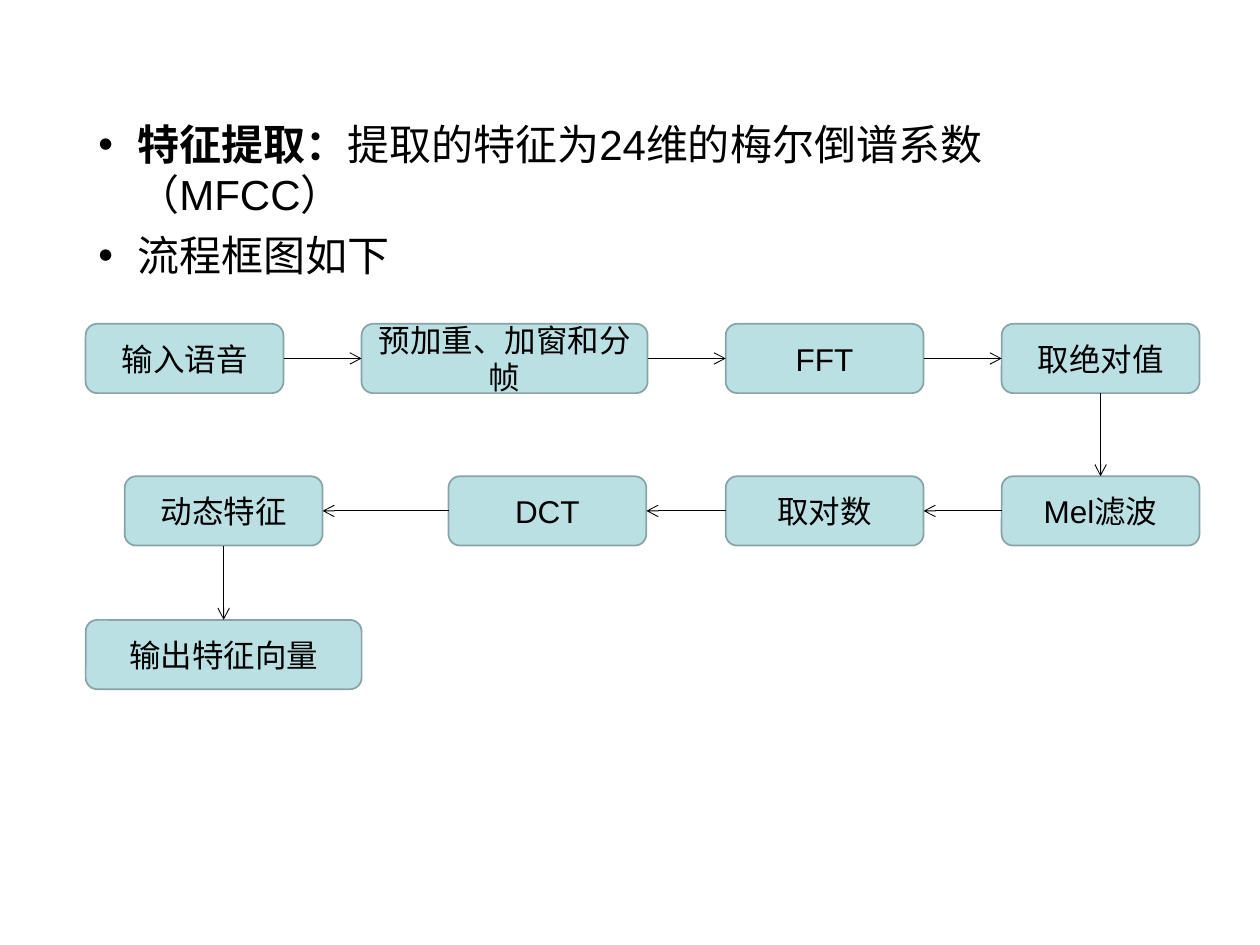
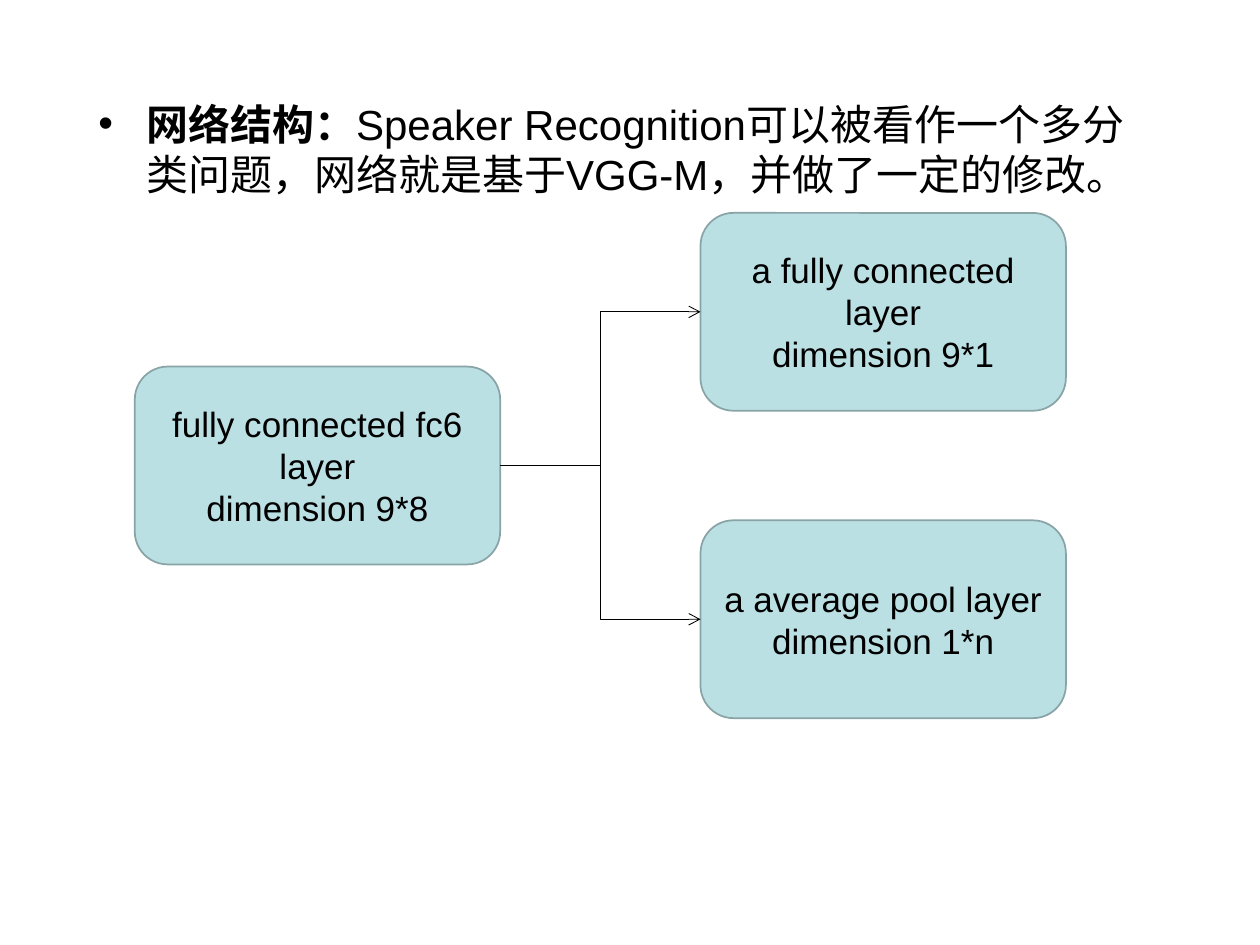
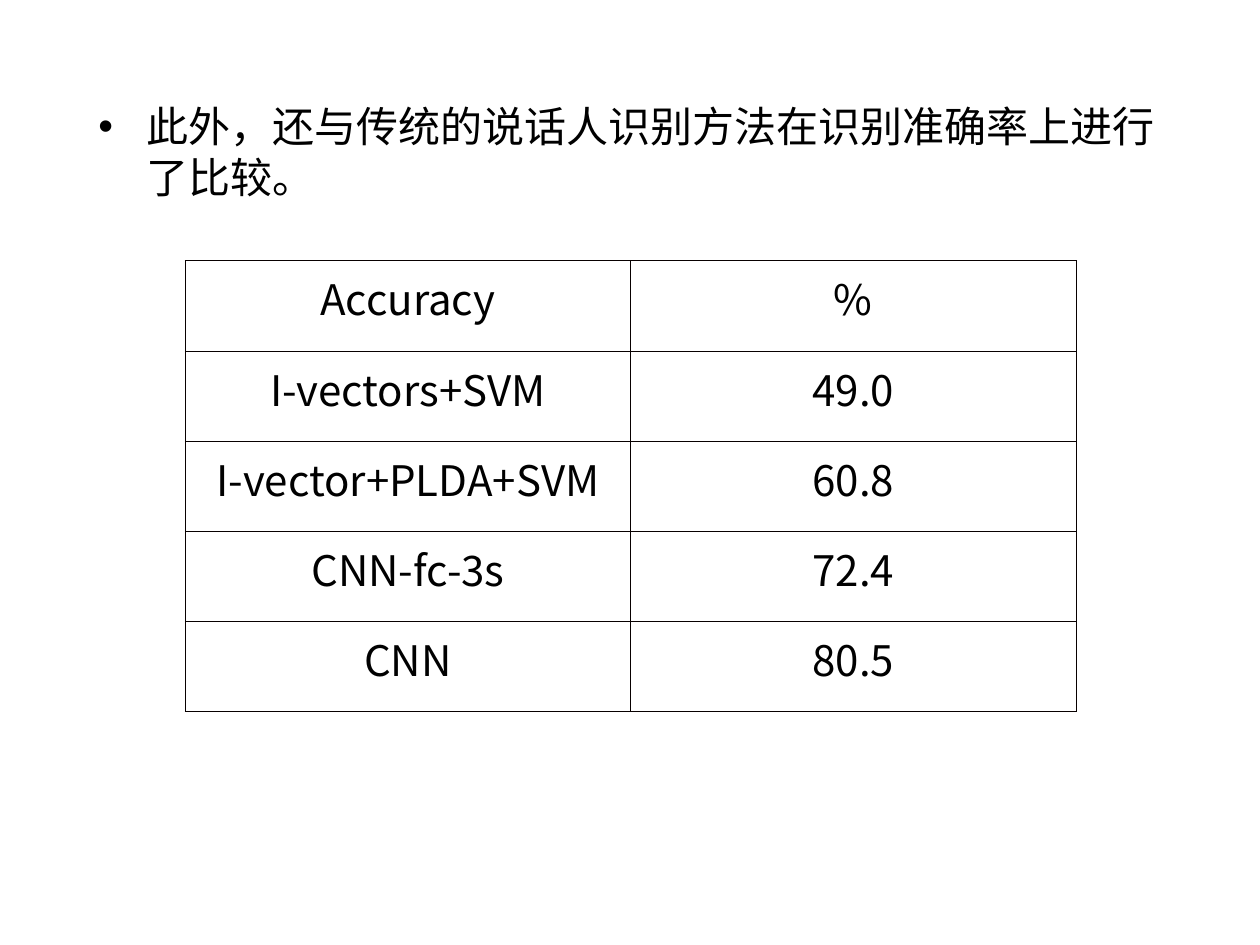
from lxml import etree
from pptx import Presentation
from pptx.dml.color import RGBColor
from pptx.enum import shapes, text
from pptx.oxml import ns
from pptx.util import Inches, Pt

BLACK = RGBColor(0x00, 0x00, 0x00)
BOX_FILL = RGBColor(0xBB, 0xE0, 0xE3)
BOX_LINE = RGBColor(0x89, 0xA4, 0xA7)
BORDER = RGBColor(0x08, 0x00, 0x00)
LATIN_FONT = "Arial"
CJK_FONT = "Noto Sans CJK SC"

TOP, LEFT, BOTTOM, RIGHT = range(4)  # connection sites of a box


def format_run(run, size, latin=LATIN_FONT, bold=False):
    run.font.size = Pt(size)
    run.font.name = latin
    run.font.bold = bold
    run.font.color.rgb = BLACK
    east_asian = etree.SubElement(run.font._element, ns.qn("a:ea"))
    east_asian.set("typeface", CJK_FONT)


def add_bullet_slide(prs, top, indent, bullets):
    """Add a slide with a bullet list; each bullet is (bold lead, rest)."""
    slide = prs.slides.add_slide(prs.slide_layouts[1])
    title, body = slide.placeholders
    title._element.getparent().remove(title._element)
    body.left, body.top = Inches(0.68), Inches(top)
    body.width, body.height = Inches(8.63), Inches(6.66 - top)
    frame = body.text_frame
    frame.auto_size = text.MSO_AUTO_SIZE.NONE
    for i, (lead, rest) in enumerate(bullets):
        paragraph = frame.add_paragraph() if i else frame.paragraphs[0]
        paragraph.space_before = Pt(6 if i else 0)
        properties = paragraph._p.get_or_add_pPr()
        properties.set("marL", str(Inches(indent)))
        properties.set("indent", str(-Inches(indent)))
        for words, bold in ((lead, True), (rest, False)):
            if words:
                run = paragraph.add_run()
                run.text = words
                format_run(run, 24, bold=bold)
    return slide


def add_box(slide, label, left, top, width, height, size):
    box = slide.shapes.add_shape(
        shapes.MSO_SHAPE.ROUNDED_RECTANGLE,
        Inches(left), Inches(top), Inches(width), Inches(height))
    box.shadow.inherit = False
    box.fill.solid()
    box.fill.fore_color.rgb = BOX_FILL
    box.line.color.rgb = BOX_LINE
    box.line.width = Pt(1)
    frame = box.text_frame
    frame.word_wrap = True
    frame.vertical_anchor = text.MSO_ANCHOR.MIDDLE
    frame.text = label
    for paragraph in frame.paragraphs:
        paragraph.alignment = text.PP_ALIGN.CENTER
        for run in paragraph.runs:
            format_run(run, size)
    return box


def add_arrow(slide, start, start_site, end, end_site,
              kind=shapes.MSO_CONNECTOR.STRAIGHT):
    arrow = slide.shapes.add_connector(kind, 0, 0, 0, 0)
    arrow.begin_connect(start, start_site)
    arrow.end_connect(end, end_site)
    arrow.line.color.rgb = BLACK
    arrow.line.width = Pt(0.5)
    head = etree.SubElement(arrow.line._get_or_add_ln(), ns.qn("a:tailEnd"))
    head.set("type", "arrow")
    etree.SubElement(arrow._element.spPr, ns.qn("a:effectLst"))


def add_borders(cell):
    properties = cell._tc.get_or_add_tcPr()
    for side in ("lnL", "lnR", "lnT", "lnB"):
        line = etree.SubElement(properties, ns.qn("a:" + side))
        line.set("w", str(Pt(0.45)))
        fill = etree.SubElement(line, ns.qn("a:solidFill"))
        etree.SubElement(fill, ns.qn("a:srgbClr")).set("val", str(BORDER))


def add_accuracy_table(slide, rows):
    table = slide.shapes.add_table(
        len(rows), len(rows[0]),
        Inches(1.47), Inches(2.07), Inches(7.07), Inches(3.58)).table
    table.first_row = False
    table.horz_banding = False
    for r, row in enumerate(rows):
        for c, value in enumerate(row):
            cell = table.cell(r, c)
            add_borders(cell)
            cell.fill.background()
            cell.margin_left = cell.margin_right = Inches(0.08)
            cell.text_frame.text = value
            paragraph = cell.text_frame.paragraphs[0]
            paragraph.alignment = text.PP_ALIGN.CENTER
            format_run(paragraph.runs[0], 24, latin=CJK_FONT)


def build_feature_slide(prs):
    slide = add_bullet_slide(prs, 0.89, 0.31, [
        ("特征提取：", "提取的特征为24维的梅尔倒谱系数（MFCC）"),
        ("", "流程框图如下"),
    ])
    # Steps in reading order: label, left, top, width
    first_row, second_row, third_row = 2.57, 3.78, 4.92
    steps = [
        ("输入语音", 0.68, first_row, 1.57),
        ("预加重、加窗和分帧", 2.87, first_row, 2.27),
        ("FFT", 5.76, first_row, 1.57),
        ("取绝对值", 7.95, first_row, 1.57),
        ("Mel滤波", 7.95, second_row, 1.57),
        ("取对数", 5.76, second_row, 1.57),
        ("DCT", 3.56, second_row, 1.57),
        ("动态特征", 0.99, second_row, 1.57),
        ("输出特征向量", 0.68, third_row, 2.19),
    ]
    boxes = [add_box(slide, label, left, top, width, 0.55, 18)
             for label, left, top, width in steps]
    # Right along the first row, down, back along the second, down
    rightward, downward, leftward = (RIGHT, LEFT), (BOTTOM, TOP), (LEFT, RIGHT)
    route = [rightward] * 3 + [downward] + [leftward] * 3 + [downward]
    for start, end, (start_site, end_site) in zip(boxes, boxes[1:], route):
        add_arrow(slide, start, start_site, end, end_site)


def build_network_slide(prs):
    slide = add_bullet_slide(prs, 0.73, 0.38, [
        ("网络结构：", "Speaker Recognition可以被看作一个多分类问题，"
                  "网络就是基于VGG-M，并做了一定的修改。"),
    ])
    layers = [
        ("fully connected fc6 layer\ndimension 9*8", 1.07, 2.91),
        ("a fully connected layer\ndimension 9*1", 5.56, 1.69),
        ("a average pool layer\ndimension 1*n", 5.56, 4.13),
    ]
    fc6, *replacements = [add_box(slide, label, left, top, 2.9, 1.57, 20)
                          for label, left, top in layers]
    for layer in replacements:
        add_arrow(slide, fc6, RIGHT, layer, LEFT, shapes.MSO_CONNECTOR.ELBOW)


def build_accuracy_slide(prs):
    slide = add_bullet_slide(prs, 0.75, 0.38, [
        ("", "此外，还与传统的说话人识别方法在识别准确率上进行了比较。"),
    ])
    add_accuracy_table(slide, [
        ("Accuracy", "%"),
        ("I-vectors+SVM", "49.0"),
        ("I-vector+PLDA+SVM", "60.8"),
        ("CNN-fc-3s", "72.4"),
        ("CNN", "80.5"),
    ])


def main():
    prs = Presentation()
    prs.slide_width, prs.slide_height = Inches(10), Inches(7.5)
    build_feature_slide(prs)
    build_network_slide(prs)
    build_accuracy_slide(prs)
    prs.save("out.pptx")


if __name__ == "__main__":
    main()
